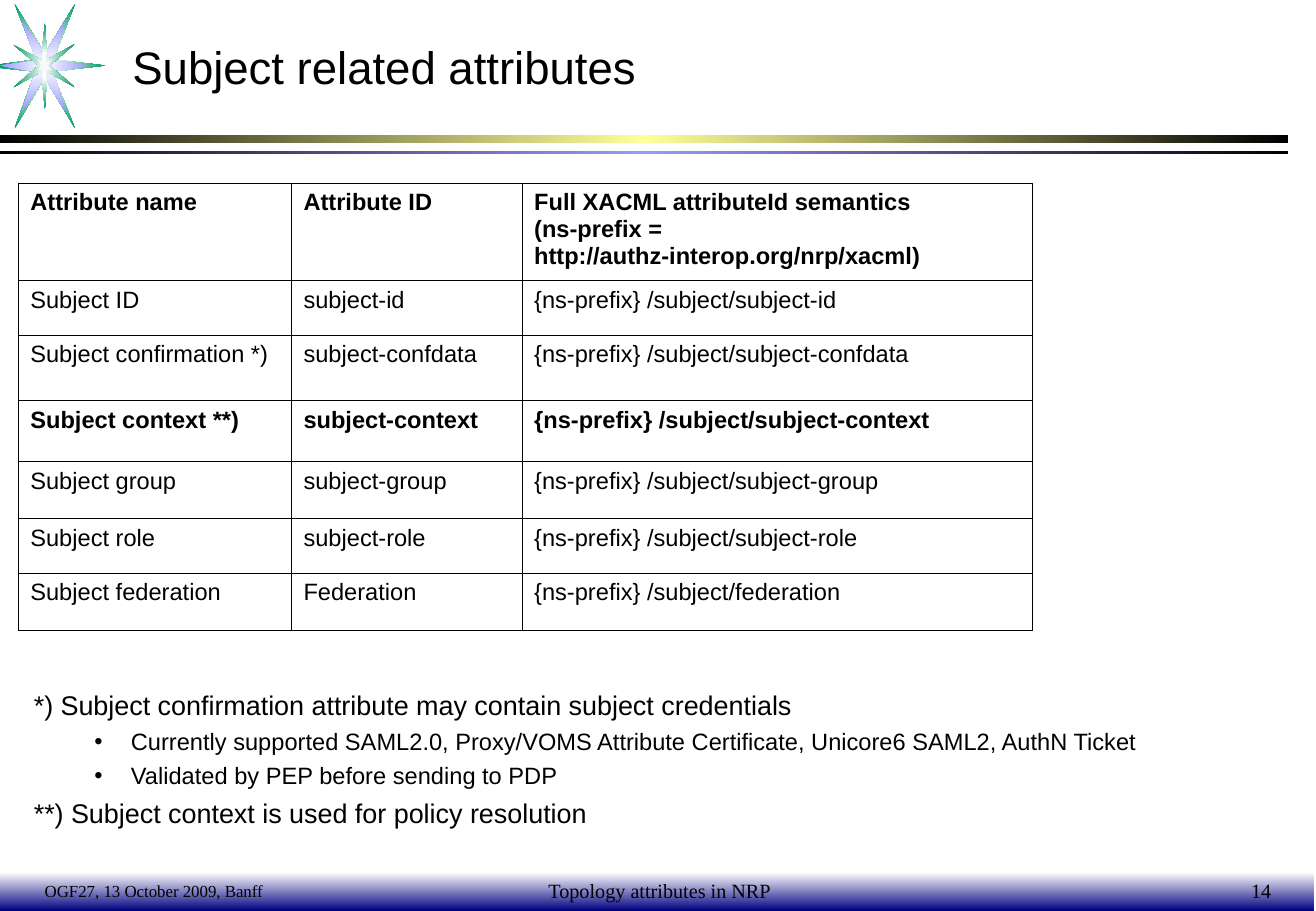
from lxml.etree import SubElement
from pptx import Presentation
from pptx.dml.color import RGBColor
from pptx.enum.shapes import MSO_SHAPE
from pptx.enum.text import MSO_ANCHOR, MSO_AUTO_SIZE, PP_ALIGN
from pptx.oxml import parse_xml
from pptx.oxml.ns import nsdecls, qn
from pptx.util import Inches, Pt

COLORS = {
    "black": "000000", "white": "FFFFFF", "navy": "000080", "yellow": "FFFF99",
    "lavender": "9999FF", "green": "009966", "pale": "F9F9F9",
}

ATTRIBUTE_ROWS = [
    ("Attribute name", "Attribute ID",
     "Full XACML attributeId semantics\n(ns-prefix = http://authz-interop.org/nrp/xacml)"),
    ("Subject ID", "subject-id", "{ns-prefix} /subject/subject-id"),
    ("Subject confirmation *)", "subject-confdata", "{ns-prefix} /subject/subject-confdata"),
    ("Subject context **)", "subject-context", "{ns-prefix} /subject/subject-context"),
    ("Subject group", "subject-group", "{ns-prefix} /subject/subject-group"),
    ("Subject role", "subject-role", "{ns-prefix} /subject/subject-role"),
    ("Subject federation", "Federation", "{ns-prefix} /subject/federation"),
]
BOLD_ROWS = (0, 3)
COLUMN_WIDTHS = [2.25, 1.9, 4.2]
ROW_HEIGHTS = [0.8, 0.45, 0.54, 0.5, 0.47, 0.45, 0.47]

# Note text and whether it is a bullet
NOTES = [
    ("*) Subject confirmation attribute may contain subject credentials", False),
    ("Currently supported SAML2.0, Proxy/VOMS Attribute Certificate, Unicore6 SAML2, AuthN Ticket", True),
    ("Validated by PEP before sending to PDP", True),
    ("**) Subject context is used for policy resolution", False),
]

# Outline in hundredths of an inch, and colours from the centre outwards
STAR_LAYERS = [
    ([(30, 49), (12, 3), (37, 44), (62, 3), (44, 49), (87, 54), (43, 59),
      (62, 106), (37, 64), (12, 106), (29, 59), (0, 56), (0, 53)], ["white", "green"]),
    ([(30, 50), (18, 17), (37, 44), (54, 17), (44, 50), (73, 54), (44, 59),
      (54, 92), (37, 64), (18, 92), (29, 59), (0, 54)], ["white", "lavender"]),
    ([(11, 37), (34, 49), (37, 19), (39, 49), (62, 36), (41, 54), (62, 72),
      (39, 59), (37, 90), (34, 59), (11, 72), (32, 54)], ["white", "green"]),
    ([(31, 49), (36, 52), (37, 45), (38, 52), (43, 49), (39, 54), (43, 58),
      (38, 56), (37, 63), (36, 56), (31, 58), (34, 54)], ["pale"]),
]


class SlideBuilder:
    def __init__(self, page, font="Arial"):
        self.page = page
        self.font = font

    def color(self, name):
        return RGBColor.from_string(COLORS[name])

    def style(self, para, size, bold=False, font=None):
        para.font.name = font or self.font
        para.font.size = Pt(size)
        para.font.bold = bold
        para.font.color.rgb = self.color("black")

    def paint(self, shape, colors, angle=None):
        """One colour is solid; more make a linear gradient, or a rectangular one without an angle."""
        shape.shadow.inherit = False
        shape.line.fill.background()
        shape.fill.solid()
        shape.fill.fore_color.rgb = self.color(colors[0])
        if len(colors) == 1:
            return
        step = 100000 // (len(colors) - 1)
        stops = "".join(f'<a:gs pos="{index * step}"><a:srgbClr val="{COLORS[name]}"/></a:gs>'
                        for index, name in enumerate(colors))
        if angle is None:
            course = '<a:path path="rect"><a:fillToRect l="50000" t="50000" r="50000" b="50000"/></a:path>'
        else:
            course = f'<a:lin ang="{angle * 60000}" scaled="0"/>'
        gradient = parse_xml(f'<a:gradFill {nsdecls("a")} rotWithShape="1">'
                             f'<a:gsLst>{stops}</a:gsLst>{course}</a:gradFill>')
        solid = shape._element.spPr.find(qn("a:solidFill"))
        solid.getparent().replace(solid, gradient)

    def bar(self, left, top, width, height, colors, angle):
        shape = self.page.shapes.add_shape(
            MSO_SHAPE.RECTANGLE, Inches(left), Inches(top), Inches(width), Inches(height))
        self.paint(shape, colors, angle)

    def outline(self, points, colors):
        builder = self.page.shapes.build_freeform(*points[0], scale=Inches(0.01))
        builder.add_line_segments(points[1:], close=True)
        self.paint(builder.convert_to_shape(), colors)

    def title(self, text, left, top, width, height, size):
        title = self.page.shapes.title
        title.left, title.top = Inches(left), Inches(top)
        title.width, title.height = Inches(width), Inches(height)
        frame = title.text_frame
        frame.text = text
        frame.auto_size = MSO_AUTO_SIZE.NONE
        frame.vertical_anchor = MSO_ANCHOR.MIDDLE
        frame.paragraphs[0].alignment = PP_ALIGN.LEFT
        self.style(frame.paragraphs[0], size)

    def text_frame(self, left, top, width, height):
        box = self.page.shapes.add_textbox(Inches(left), Inches(top), Inches(width), Inches(height))
        box.text_frame.word_wrap = True
        return box.text_frame

    def footer(self, text, left, width, size, align):
        frame = self.text_frame(left, 7.17, width, 0.33)
        frame.vertical_anchor = MSO_ANCHOR.MIDDLE
        para = frame.paragraphs[0]
        para.text = text
        para.alignment = align
        self.style(para, size, font="Times New Roman")

    def notes(self, notes, left, top, width, height):
        frame = self.text_frame(left, top, width, height)
        for index, (text, bullet) in enumerate(notes):
            para = frame.add_paragraph() if index else frame.paragraphs[0]
            para.text = text
            margin, indent = (0.8, -0.3) if bullet else (0.37, -0.37)
            properties = para._p.get_or_add_pPr()
            properties.set("marL", str(Inches(margin)))
            properties.set("indent", str(Inches(indent)))
            if index:
                para.space_before = Pt(3.5 if bullet else 4)
            if bullet:
                para.level = 1
                SubElement(properties, qn("a:buFont"), typeface=self.font)
                SubElement(properties, qn("a:buChar"), char="•")
            self.style(para, 14 if bullet else 16)

    def table(self, rows, left, top, widths, heights, bold_rows):
        table = self.page.shapes.add_table(
            len(rows), len(widths), Inches(left), Inches(top),
            Inches(sum(widths)), Inches(sum(heights))).table
        table.first_row = table.horz_banding = False
        for column, width in zip(table.columns, widths):
            column.width = Inches(width)
        for row_index, (texts, height) in enumerate(zip(rows, heights)):
            table.rows[row_index].height = Inches(height)
            for column_index, text in enumerate(texts):
                cell = table.cell(row_index, column_index)
                cell.text = text
                cell.fill.background()
                self.borders(cell)
                for para in cell.text_frame.paragraphs:
                    self.style(para, 14, row_index in bold_rows)

    def borders(self, cell):
        properties = cell._tc.get_or_add_tcPr()
        for index, side in enumerate("LRTB"):
            properties.insert(index, parse_xml(
                f'<a:ln{side} {nsdecls("a")} w="{Pt(0.45)}"><a:solidFill>'
                f'<a:srgbClr val="{COLORS["black"]}"/></a:solidFill></a:ln{side}>'))


def main():
    deck = Presentation()
    deck.slide_width, deck.slide_height = Inches(10.84), Inches(7.5)
    slide = SlideBuilder(deck.slides.add_slide(deck.slide_layouts[5]))

    # Background bars and star
    slide.bar(0, 7.18, 10.82, 0.32, ["white", "navy"], 90)
    slide.bar(0, 1.11, 10.61, 0.07, ["black", "yellow", "black"], 0)
    slide.bar(0, 1.24, 10.61, 0.03, ["black", "lavender", "black"], 0)
    for points, colors in STAR_LAYERS:
        slide.outline(points, colors)

    # Title, attribute table and notes
    slide.title("Subject related attributes", 0.99, 0.21, 9.65, 0.67, 27)
    slide.table(ATTRIBUTE_ROWS, 0.15, 1.51, COLUMN_WIDTHS, ROW_HEIGHTS, BOLD_ROWS)
    slide.notes(NOTES, 0.18, 5.62, 10.45, 1.5)

    # Footer
    slide.footer("Topology attributes in NRP", 3.72, 3.43, 12, PP_ALIGN.CENTER)
    slide.footer("14", 8.32, 2.25, 12, PP_ALIGN.RIGHT)
    slide.footer("OGF27, 13 October 2009, Banff", 0.27, 2.89, 10, PP_ALIGN.LEFT)

    deck.save("out.pptx")


if __name__ == "__main__":
    main()
